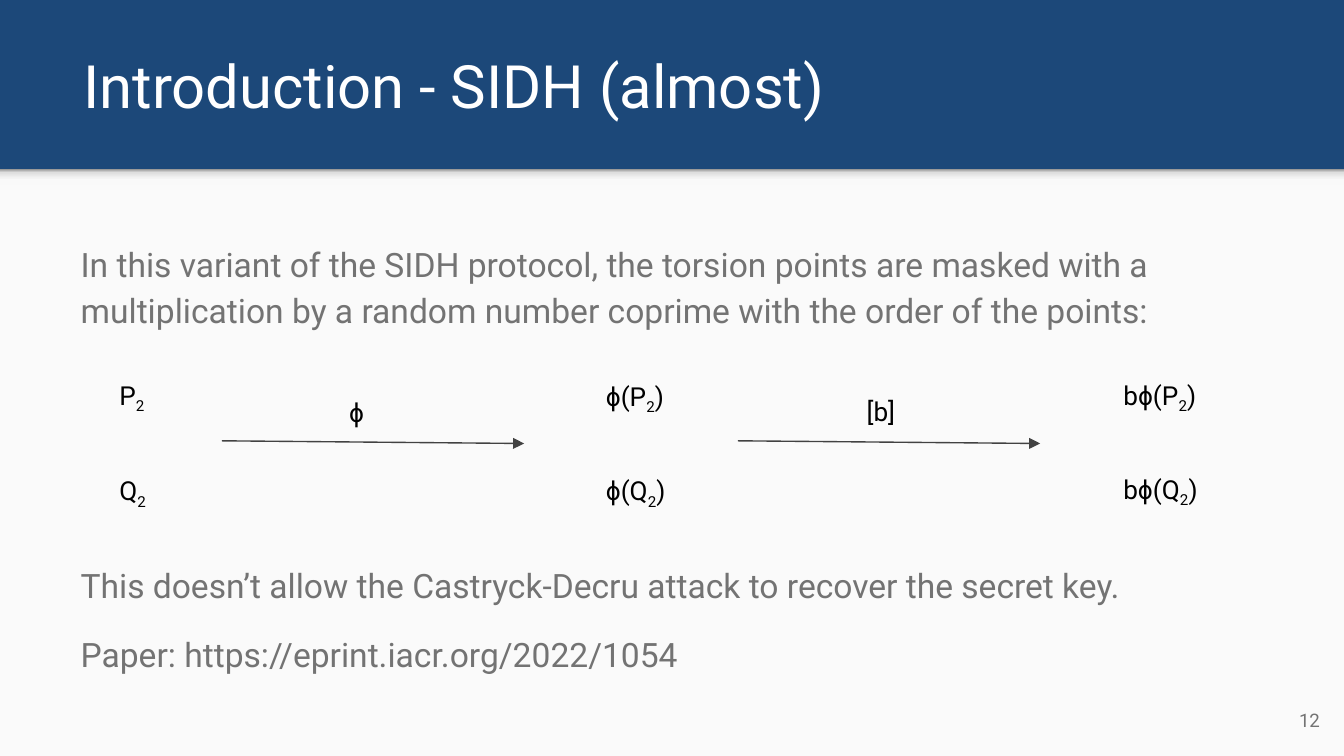
from typing import NamedTuple

from lxml.etree import SubElement
from pptx import Presentation
from pptx.dml.color import RGBColor
from pptx.enum.shapes import MSO_CONNECTOR as Conn, MSO_SHAPE as Kind
from pptx.enum.text import MSO_ANCHOR as Anchor, MSO_AUTO_SIZE as Fit, PP_ALIGN as Align
from pptx.oxml.ns import qn
from pptx.util import Inches, Pt

BLUE, PAPER, WHITE = "1C4879", "FAFAFA", "FFFFFF"
GREY, BLACK, DARK = "737373", "000000", "424242"
FADE = [(0, "F9F9F9"), (36, "F9F9F9"), (80, "DEDEDE"), (100, "999999")]


class Box(NamedTuple):
    left: float
    top: float
    width: float
    height: float = 0.44


class Label(NamedTuple):
    text: str  # a digit 2 is set as a subscript
    box: Box


class Arrow(NamedTuple):
    left: float
    top: float = 3.28
    width: float = 2.25
    drop: float = 0.02


LABELS = [
    Label("P2", Box(0.79, 2.72, 0.6)),
    Label("Q2", Box(0.79, 3.43, 0.6)),
    Label("ɸ", Box(2.5, 2.85, 0.38)),
    Label("ɸ(P2)", Box(4.41, 2.73, 0.77)),
    Label("ɸ(Q2)", Box(4.41, 3.43, 0.77)),
    Label("[b]", Box(6.35, 2.84, 0.6)),
    Label("bɸ(P2)", Box(8.26, 2.72, 0.95)),
    Label("bɸ(Q2)", Box(8.26, 3.42, 0.87)),
]
ARROWS = [Arrow(1.65), Arrow(5.49)]

# Body text with the space before and after each paragraph, in points
BODY = [
    ("In this variant of the SIDH protocol, the torsion points are masked with a "
     "multiplication by a random number coprime with the order of the points:", 0, 0),
    ("This doesn’t allow the Castryck-Decru attack to recover the secret key.", 122.5, 0),
    ("Paper: https://eprint.iacr.org/2022/1054", 12, 12),
]


def color(code: str) -> RGBColor:
    return RGBColor.from_string(code)


def place(shape, box: Box) -> None:
    shape.left, shape.top, shape.width, shape.height = map(Inches, box)


def frame(shape, anchor=Anchor.TOP, fit=Fit.NONE):
    text = shape.text_frame
    text.word_wrap, text.auto_size, text.vertical_anchor = True, fit, anchor
    text.margin_left = text.margin_right = Inches(0.1)
    text.margin_top = text.margin_bottom = Inches(0.1)
    return text


def style(para, size: float, code: str, align=Align.LEFT) -> None:
    para.alignment = align
    para.font.name, para.font.size = "Roboto", Pt(size)
    para.font.color.rgb = color(code)


def add_bar(slide, box: Box):
    bar = slide.shapes.add_shape(Kind.RECTANGLE, *map(Inches, box))
    bar.shadow.inherit = False
    bar.line.fill.background()
    return bar


def add_label(slide, label: Label) -> None:
    shape = slide.shapes.add_textbox(*map(Inches, label.box))
    para = frame(shape, fit=Fit.SHAPE_TO_FIT_TEXT).paragraphs[0]
    style(para, 14, BLACK)
    for part in filter(None, label.text.partition("2")):
        run = para.add_run()
        run.text = part
        if part == "2":
            run.font._element.set("baseline", "-25000")


def add_arrow(slide, arrow: Arrow) -> None:
    ends = (arrow.left, arrow.top, arrow.left + arrow.width, arrow.top + arrow.drop)
    line = slide.shapes.add_connector(Conn.STRAIGHT, *map(Inches, ends))
    line.line.color.rgb = color(DARK)
    line.line.width = Pt(0.75)
    SubElement(line.line._get_or_add_ln(), qn("a:tailEnd"), type="triangle")
    SubElement(line._element.spPr, qn("a:effectLst"))


def main() -> None:
    deck = Presentation()
    deck.slide_width, deck.slide_height = Inches(10), Inches(10 * 9 / 16)
    slide = deck.slides.add_slide(deck.slide_layouts[1])
    title, body = slide.placeholders

    # Backdrop: blue header, light panel and its shaded top edge
    slide.background.fill.solid()
    slide.background.fill.fore_color.rgb = color(BLUE)
    panel = add_bar(slide, Box(0, 1.27, 10, 4.36))
    panel.fill.solid()
    panel.fill.fore_color.rgb = color(PAPER)
    edge = add_bar(slide, Box(0, 1.26, 10, 0.12))
    edge.fill.gradient()
    edge.fill.gradient_angle = 90
    stops = edge._element.spPr.find(".//" + qn("a:gsLst"))
    stops.clear()
    for pos, code in FADE:
        stop = SubElement(stops, qn("a:gs"), pos=str(pos * 1000))
        SubElement(stop, qn("a:srgbClr"), val=code)

    # Bring the placeholders in front of the backdrop
    for holder in (title, body):
        slide.shapes._spTree.append(holder._element)

    # Title
    place(title, Box(0.52, 0, 7.78, 1.26))
    head = frame(title, Anchor.MIDDLE)
    head.text = "Introduction - SIDH (almost)"
    style(head.paragraphs[0], 32, WHITE)

    # Body
    place(body, Box(0.5, 1.67, 8.99, 3.47))
    text = frame(body)
    for i, (words, before, after) in enumerate(BODY):
        para = text.add_paragraph() if i else text.paragraphs[0]
        para.text = words
        para.line_spacing = 1.15
        para.space_before, para.space_after = Pt(before), Pt(after)
        style(para, 18, GREY)
        props = para._p.get_or_add_pPr()
        props.set("marL", "0")
        props.set("indent", "0")
        props.insert_element_before(props.makeelement(qn("a:buNone")), "a:defRPr")

    # Page number
    page = slide.shapes.add_textbox(*map(Inches, Box(9.32, 5.14, 0.6, 0.43)))
    para = frame(page, Anchor.MIDDLE).paragraphs[0]
    para.text = "12"
    style(para, 10, GREY, Align.RIGHT)

    # Map diagram
    for label in LABELS:
        add_label(slide, label)
    for arrow in ARROWS:
        add_arrow(slide, arrow)

    deck.save("out.pptx")


if __name__ == "__main__":
    main()
